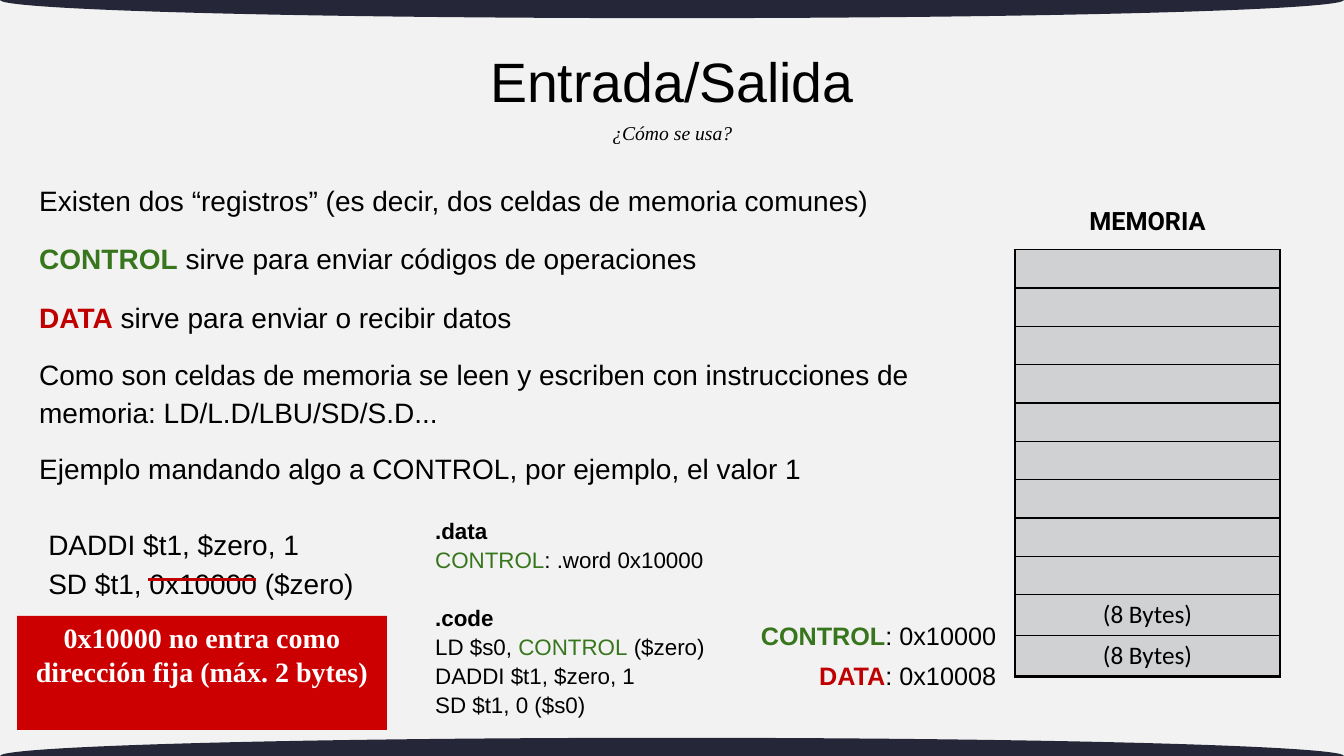
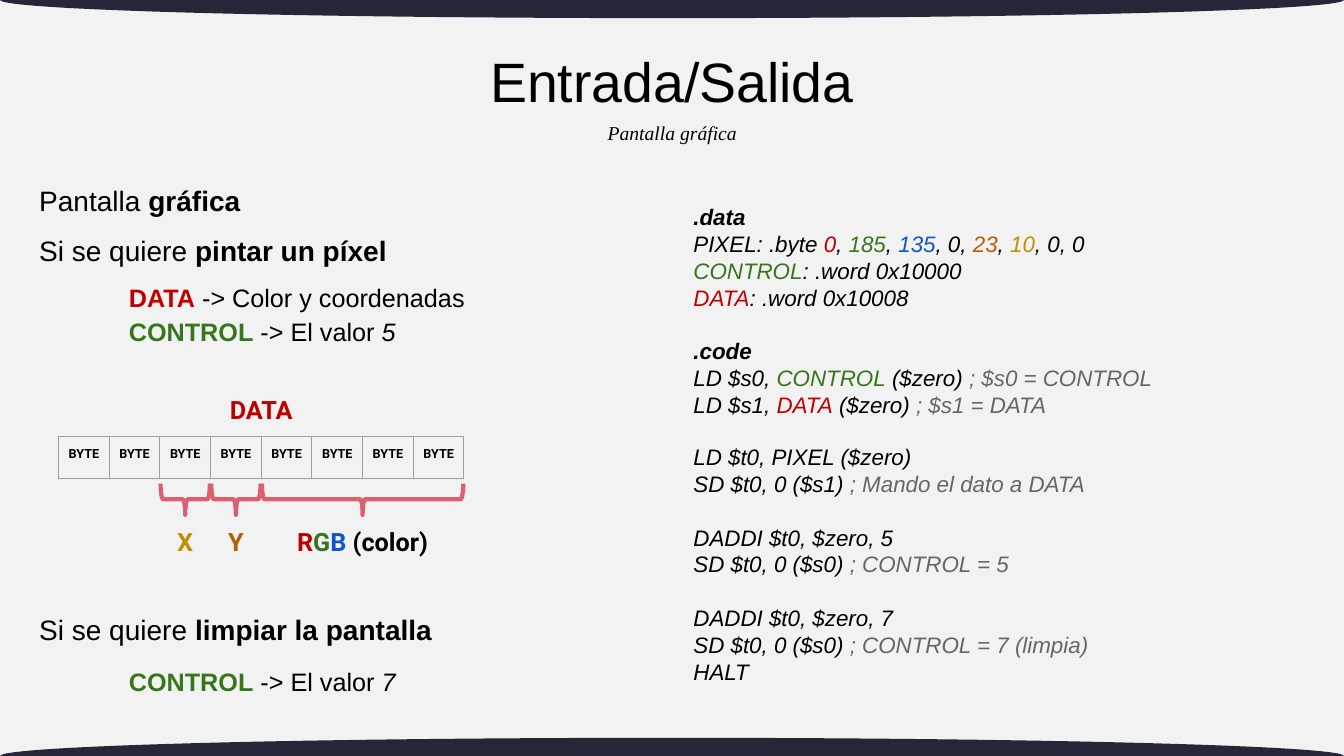
"""Build two slides on memory-mapped input and output."""
from lxml.etree import SubElement
from pptx import Presentation
from pptx.dml.color import RGBColor
from pptx.enum.shapes import MSO_CONNECTOR as Connector, MSO_SHAPE as Shape
from pptx.enum.text import MSO_ANCHOR as Anchor, PP_ALIGN as Align
from pptx.oxml.ns import qn
from pptx.util import Pt

WIDTH, HEIGHT = 960, 540
INK, PAPER, NAVY, WHITE = "000000", "F2F2F2", "252738", "FFFFFF"
RED, GREEN, BLUE = "C00000", "38761D", "1155CC"
ORANGE, GOLD, GREY = "B45F06", "BF9000", "666666"
ALERT, CELL, GRID, BRACE = "CC0000", "D0D1D2", "9E9E9E", "DC5F6F"
BODY, SERIF, LABEL, TABLE = "Arial", "Times New Roman", "Roboto", "Calibri"

CONTROL, DATA = ("CONTROL", GREEN), ("DATA", RED)
BOLD_CONTROL, BOLD_DATA = ("CONTROL", GREEN, "b"), ("DATA", RED, "b")


def color(hex_code):
    """Turn a hex string into a colour."""
    return RGBColor.from_string(hex_code)


def write(frame, paragraphs, size, font=BODY, align=Align.LEFT, spacing=1, style="", gaps=None):
    """Fill a text frame; a run is a string or (text, colour, style)."""
    for index, runs in enumerate(paragraphs):
        paragraph = frame.add_paragraph() if index else frame.paragraphs[0]
        paragraph.alignment, paragraph.line_spacing = align, spacing
        if gaps and index in gaps:
            paragraph.space_before = Pt(gaps[index])
        for part in runs:
            words, ink, marks = ((part,) if isinstance(part, str) else part) + (INK, "")[
                (0 if isinstance(part, str) else len(part) - 1):]
            run = paragraph.add_run()
            run.text = words
            run.font.name, run.font.size = font, Pt(size)
            run.font.bold, run.font.italic = "b" in marks + style, "i" in marks + style
            run.font.color.rgb = color(ink)


def add_text(slide, box, paragraphs, size, anchor=Anchor.MIDDLE, **options):
    """Place a wrapping text box at left, top, width, height."""
    frame = slide.shapes.add_textbox(*map(Pt, box)).text_frame
    frame.word_wrap, frame.vertical_anchor = True, anchor
    write(frame, paragraphs, size, **options)


def add_label(slide, box, runs):
    """Place a bold centred label."""
    add_text(slide, box, [runs], 18, Anchor.TOP, font=LABEL, align=Align.CENTER, style="b")


def add_figure(slide, kind, box, fill=None, line=None):
    """Place a preset shape with a plain fill or outline."""
    figure = slide.shapes.add_shape(kind, *map(Pt, box))
    figure.shadow.inherit = False
    if fill:
        figure.fill.solid()
        figure.fill.fore_color.rgb = color(fill)
    else:
        figure.fill.background()
    if line:
        figure.line.color.rgb, figure.line.width = color(line), Pt(3)
    else:
        figure.line.fill.background()
    return figure


def add_strike(slide, left, right, y):
    """Draw a red line across a wrong operand."""
    strike = slide.shapes.add_connector(Connector.STRAIGHT, Pt(left), Pt(y), Pt(right), Pt(y))
    strike.line.color.rgb, strike.line.width = color(RED), Pt(2.25)
    SubElement(strike._element.spPr, qn("a:effectLst"))


def set_borders(cell, ink, widths):
    """Give a cell its left, right, top and bottom borders."""
    properties = cell._tc.get_or_add_tcPr()
    for side, width in zip("LRTB", widths):
        border = SubElement(properties, qn(f"a:ln{side}"), w=str(Pt(width)))
        SubElement(SubElement(border, qn("a:solidFill")), qn("a:srgbClr"), val=ink)


def add_grid(slide, left, top, column_widths, row_heights):
    """Place a table without style bands and return it."""
    box = map(Pt, (left, top, sum(column_widths), sum(row_heights)))
    grid = slide.shapes.add_table(len(row_heights), len(column_widths), *box).table
    grid.first_row = grid.horz_banding = False
    for column, width in zip(grid.columns, column_widths):
        column.width = Pt(width)
    for row, height in zip(grid.rows, row_heights):
        row.height = Pt(height)
    return grid


def add_memory(slide, left, top, width):
    """Draw the memory column whose last two cells are the registers."""
    heights = [27.4] * 9 + [29.2] * 2
    add_label(slide, (left, top - 35.3, width, 36), ["MEMORIA"])
    cells = list(add_grid(slide, left, top, [width], heights).iter_cells())
    for cell in cells:
        set_borders(cell, INK, (1, 2.25, 1, 2.25 if cell is cells[-1] else 1))
        cell.fill.solid()
        cell.fill.fore_color.rgb = color(CELL)
        cell.margin_top = cell.margin_bottom = 0
        cell.vertical_anchor = Anchor.MIDDLE
    for cell in cells[-2:]:
        write(cell.text_frame, [["(8 Bytes)"]], 18, font=TABLE, align=Align.CENTER)


def add_data_word(slide, left, top, byte_width):
    """Draw the eight bytes of DATA with braces naming their fields."""
    add_label(slide, (left, top - 33.8, 8 * byte_width, 30), [DATA])
    for cell in add_grid(slide, left, top, [byte_width] * 8, [30.2]).iter_cells():
        set_borders(cell, GRID, [0.75] * 4)
        cell.fill.background()
        cell.margin_left = cell.margin_right = Pt(2)
        cell.margin_top = cell.margin_bottom = Pt(7.2)
        write(cell.text_frame, [["BYTE"]], 9, font=LABEL, align=Align.CENTER, style="b")
    fields = [
        (2, 1, 30, [("X", GOLD)]),
        (3, 1, 30, [("Y", ORANGE)]),
        (4, 4, 114, [("R", RED), ("G", GREEN), ("B ", BLUE), "(color)"]),
    ]
    depth = 22.3
    for first, count, label_width, name in fields:
        center, span = left + (first + count / 2) * byte_width, count * byte_width - 1
        brace_box = (center - depth / 2, top + 44.8 - span / 2, depth, span)
        add_figure(slide, Shape.RIGHT_BRACE, brace_box, line=BRACE).rotation = 90
        add_label(slide, (center - label_width / 2, top + 60.5, label_width, 30), name)


def add_slide(deck, subtitle):
    """Start a slide with the shared background, bands and titles."""
    slide = deck.slides.add_slide(deck.slide_layouts[6])
    slide.background.fill.solid()
    slide.background.fill.fore_color.rgb = color(PAPER)
    for edge in (0, HEIGHT):
        add_figure(slide, Shape.OVAL, (0, edge - 13, WIDTH, 26), fill=NAVY)
    add_text(slide, (247, 26.6, 466, 67.7), [["Entrada/Salida"]], 39.6,
             align=Align.CENTER, spacing=0.9)
    add_text(slide, (316.8, 82.8, 326.9, 24.5), [[subtitle]], 14, Anchor.TOP,
             font=SERIF, align=Align.CENTER, style="i")
    return slide


def build_usage(deck):
    """Show how the two registers are used."""
    slide = add_slide(deck, "¿Cómo se usa?")
    statements = [
        (122.4, 37.4, ["Existen dos “registros” (es decir, dos celdas de memoria comunes)"]),
        (164.2, 37.4, [BOLD_CONTROL, " sirve para enviar códigos de operaciones"]),
        (205.9, 37.4, [BOLD_DATA, " sirve para enviar o recibir datos"]),
        (248.4, 61.2, ["Como son celdas de memoria se leen y escriben con instrucciones "
                       "de memoria: LD/L.D/LBU/SD/S.D..."]),
        (313.9, 37.4, ["Ejemplo mandando algo a CONTROL, por ejemplo, el valor 1"]),
    ]
    for top, height, runs in statements:
        add_text(slide, (20.9, top, 681, height), [runs], 20, spacing=1.15)

    add_memory(slide, 725, 178.3, 189.4)
    for top, register, address in ((437.8, BOLD_CONTROL, ": 0x10000"),
                                   (466.6, BOLD_DATA, ": 0x10008")):
        add_text(slide, (529.2, top, 189.4, 28.8), [[register, address]], 18,
                 align=Align.RIGHT, spacing=1.15)

    add_text(slide, (27.4, 360, 233.3, 81.4),
             [["DADDI $t1, $zero, 1"], ["SD $t1, 0x10000 ($zero)"]], 20, spacing=1.15)
    program = [
        [(".data", INK, "b")],
        [CONTROL, ": .word 0x10000"],
        [(".code", INK, "b")],
        ["LD $s0, ", CONTROL, " ($zero)"],
        ["DADDI $t1, $zero, 1"],
        ["SD $t1, 0 ($s0)"],
    ]
    code_box = (303.8, 367.9, 233.3, 144.7)
    add_text(slide, code_box, program, 16, spacing=1.08, gaps={2: 21})

    add_strike(slide, 105.8, 182.9, 414)
    warning = add_figure(slide, Shape.RECTANGLE, (12.2, 439.9, 264.2, 81.4), fill=ALERT).text_frame
    warning.word_wrap, warning.vertical_anchor = True, Anchor.TOP
    write(warning, [[("0x10000 no entra como dirección fija (máx. 2 bytes)", WHITE)]], 20,
          font=SERIF, align=Align.CENTER, style="b")


def build_graphics(deck):
    """Show how a pixel is painted and the screen cleared."""
    slide = add_slide(deck, "Pantalla gráfica")
    headings = [
        (122.4, "Pantalla ", "gráfica"),
        (158.4, "Si se quiere ", "pintar un píxel"),
        (429.1, "Si se quiere ", "limpiar la pantalla"),
    ]
    for top, opening, action in headings:
        add_text(slide, (20.9, top, 442.8, 37.4), [[opening, (action, INK, "b")]], 20, spacing=1.15)
    paint = [[BOLD_DATA, " -> Color y coordenadas"],
             [BOLD_CONTROL, " -> El valor ", ("5", INK, "i")]]
    clear = [[BOLD_CONTROL, " -> El valor ", ("7", INK, "i")]]
    for top, height, steps in ((200.2, 45.4, paint), (470.2, 30.2, clear)):
        add_text(slide, (85, top, 298, height), steps, 18, spacing=1.15)

    add_data_word(slide, 41.8, 311.8, 36.2)

    program = [
        [(".data", INK, "b")],
        ["PIXEL: .byte ", ("0", RED), ", ", ("185", GREEN), ", ", ("135", BLUE), ", 0, ",
         ("23", ORANGE), ", ", ("10", GOLD), ", 0, 0"],
        [CONTROL, ": .word 0x10000"],
        [DATA, ": .word 0x10008"],
        [(".code", INK, "b")],
        ["LD $s0, ", CONTROL, " ($zero) ", ("; $s0 = CONTROL", GREY)],
        ["LD $s1, ", DATA, " ($zero) ", ("; $s1 = DATA", GREY)],
        ["LD $t0, PIXEL ($zero)"],
        ["SD $t0, 0 ($s1) ", ("; Mando el dato a DATA", GREY)],
        ["DADDI $t0, $zero, 5"],
        ["SD $t0, 0 ($s0) ", ("; CONTROL = 5", GREY)],
        ["DADDI $t0, $zero, 7"],
        ["SD $t0, 0 ($s0) ", ("; CONTROL = 7 (limpia)", GREY)],
        ["HALT"],
    ]
    add_text(slide, (488.2, 141.8, 442.8, 375), program, 16, Anchor.TOP, style="i",
             gaps={4: 19, 7: 18, 9: 19, 11: 19})


def main():
    """Build and save the presentation."""
    deck = Presentation()
    deck.slide_width, deck.slide_height = Pt(WIDTH), Pt(HEIGHT)
    build_usage(deck)
    build_graphics(deck)
    deck.save("out.pptx")


if __name__ == "__main__":
    main()
